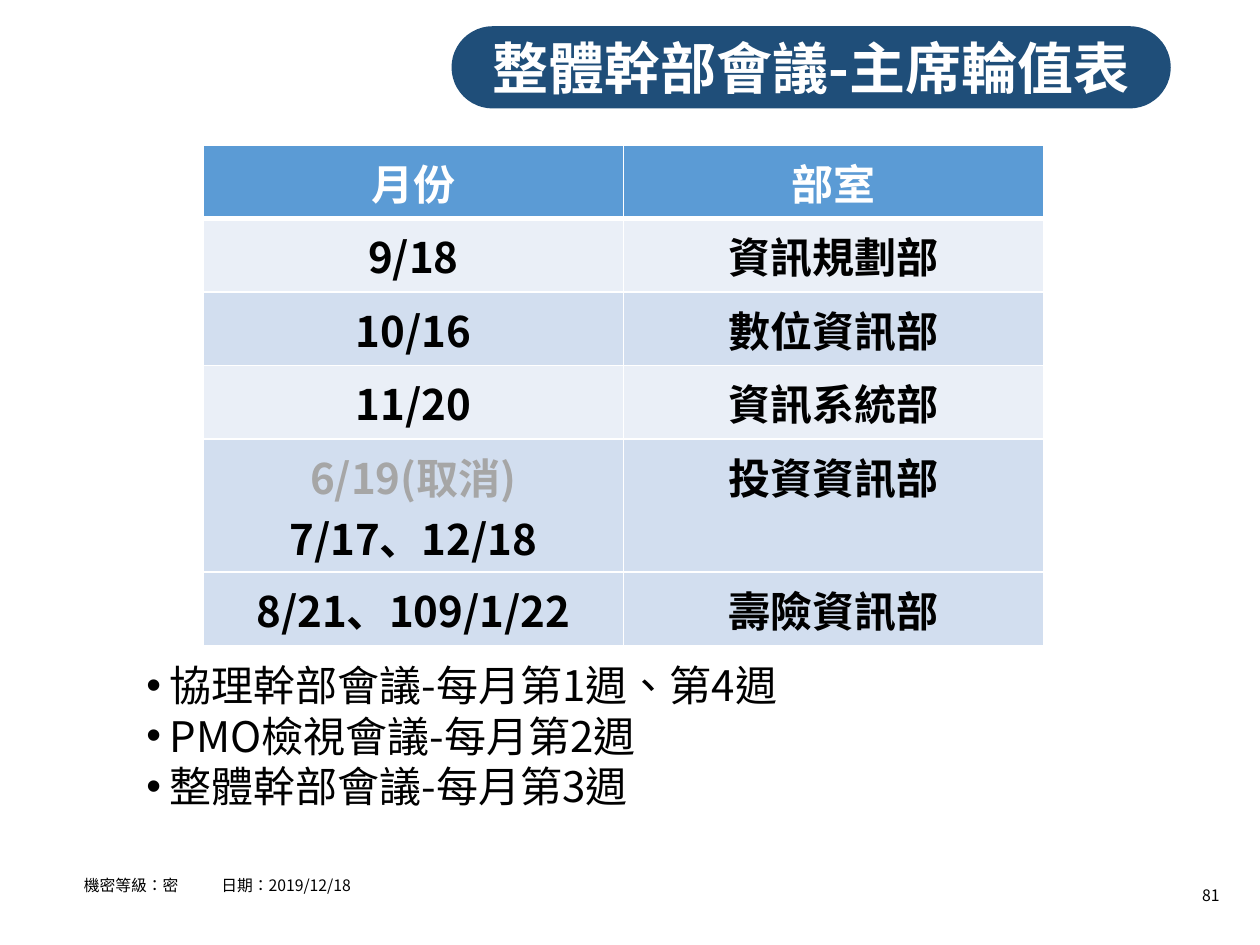
from lxml.etree import SubElement
from pptx import Presentation
from pptx.dml.color import RGBColor
from pptx.enum.shapes import MSO_SHAPE as Shape
from pptx.enum.text import MSO_ANCHOR as Anchor, PP_ALIGN as Align
from pptx.oxml.ns import qn
from pptx.util import Pt

FONT = "Noto Sans CJK SC"
WHITE = RGBColor(0xFF, 0xFF, 0xFF)
BLACK = RGBColor(0x00, 0x00, 0x00)
GREY = RGBColor(0xA6, 0xA6, 0xA6)
NAVY = RGBColor(0x1F, 0x4E, 0x79)
BLUE = RGBColor(0x5B, 0x9B, 0xD5)
PALE = RGBColor(0xEA, 0xEF, 0xF7)
LIGHT = RGBColor(0xD2, 0xDE, 0xEF)

# Row fill, month lines with their colours, department
HEADER = (BLUE, [("月份", WHITE)], "部室")
ROTA = [
    (PALE, [("9/18", BLACK)], "資訊規劃部"),
    (LIGHT, [("10/16", BLACK)], "數位資訊部"),
    (PALE, [("11/20", BLACK)], "資訊系統部"),
    (LIGHT, [("6/19(取消)", GREY), ("7/17、12/18", BLACK)], "投資資訊部"),
    (LIGHT, [("8/21、109/1/22", BLACK)], "壽險資訊部"),
]
MEETINGS = ["協理幹部會議-每月第1週、第4週", "PMO檢視會議-每月第2週", "整體幹部會議-每月第3週"]


def add_run(paragraph, text, size, color=BLACK, bold=False, language=None):
    run = paragraph.add_run()
    run.text = text
    font = run.font
    font.name, font.size, font.bold = FONT, Pt(size), bold
    font.color.rgb = color
    SubElement(font._element, qn("a:ea"), typeface=FONT)
    if language:
        font._element.set("lang", language)


def add_paragraph(frame, index):
    return frame.add_paragraph() if index else frame.paragraphs[0]


def add_text_frame(slide, left, top, width, height):
    frame = slide.shapes.add_textbox(Pt(left), Pt(top), Pt(width), Pt(height)).text_frame
    frame.word_wrap = True
    return frame


def add_title(slide, text):
    pill = slide.shapes.add_shape(Shape.ROUNDED_RECTANGLE, Pt(258), Pt(15), Pt(411), Pt(47))
    pill.adjustments[0] = 0.5
    pill.shadow.inherit = False
    pill.fill.solid()
    pill.fill.fore_color.rgb = NAVY
    pill.line.fill.background()
    frame = pill.text_frame
    frame.word_wrap = False
    frame.vertical_anchor = Anchor.MIDDLE
    paragraph = frame.paragraphs[0]
    paragraph.alignment = Align.CENTER
    add_run(paragraph, text, 32, WHITE, bold=True)


def set_borders(cell, top=1, bottom=1):
    """Draw white borders; they must precede the fill in the cell properties."""
    properties = cell._tc.get_or_add_tcPr()
    for side, width in (("L", 1), ("R", 1), ("T", top), ("B", bottom)):
        line = SubElement(properties, qn(f"a:ln{side}"), w=str(Pt(width)))
        fill = SubElement(line, qn("a:solidFill"))
        SubElement(fill, qn("a:srgbClr"), val=str(WHITE))


def fill_cell(cell, lines, fill, top, bottom):
    set_borders(cell, top, bottom)
    cell.fill.solid()
    cell.fill.fore_color.rgb = fill
    for index, (text, color) in enumerate(lines):
        paragraph = add_paragraph(cell.text_frame, index)
        paragraph.alignment = Align.CENTER
        add_run(paragraph, text, 24, color, bold=True)


def add_rota(slide):
    rows = [HEADER, *ROTA]
    table = slide.shapes.add_table(len(rows), 2, Pt(116.2), Pt(83), Pt(480), Pt(286)).table
    for index, (fill, months, department) in enumerate(rows):
        table.rows[index].height = Pt(42 if len(months) == 1 else 76)
        top = 3 if index == 1 else 1
        bottom = 3 if index == 0 else 1
        department_color = WHITE if index == 0 else BLACK
        for column, lines in enumerate((months, [(department, department_color)])):
            fill_cell(table.cell(index, column), lines, fill, top, bottom)


def add_meetings(slide):
    frame = add_text_frame(slide, 76.5, 373.5, 608, 94)
    for index, meeting in enumerate(MEETINGS):
        paragraph = add_paragraph(frame, index)
        properties = paragraph._p.get_or_add_pPr()
        properties.set("marL", str(Pt(13.5)))
        properties.set("indent", str(Pt(-13.5)))
        SubElement(properties, qn("a:buFont"), typeface="Arial")
        SubElement(properties, qn("a:buChar"), char="•")
        paragraph.line_spacing = 1.0
        add_run(paragraph, meeting, 24, language="zh-TW")


def add_footer(slide):
    frame = add_text_frame(slide, 48, 497, 534, 22)
    frame.margin_left = 0
    paragraph = frame.paragraphs[0]
    tabs = SubElement(paragraph._p.get_or_add_pPr(), qn("a:tabLst"))
    SubElement(tabs, qn("a:tab"), pos=str(Pt(78.5)), algn="l")
    add_run(paragraph, "機密等級：密\t日期：2019/12/18", 9, language="zh-TW")


def add_page_number(slide, number):
    paragraph = add_text_frame(slide, 655, 502.5, 49, 18).paragraphs[0]
    paragraph.alignment = Align.RIGHT
    add_run(paragraph, number, 9)


def main():
    presentation = Presentation()
    presentation.slide_width, presentation.slide_height = Pt(720), Pt(540)
    slide = presentation.slides.add_slide(presentation.slide_layouts[6])
    add_page_number(slide, "81")
    add_title(slide, "整體幹部會議-主席輪值表")
    add_rota(slide)
    add_meetings(slide)
    add_footer(slide)
    presentation.save("out.pptx")


if __name__ == "__main__":
    main()
